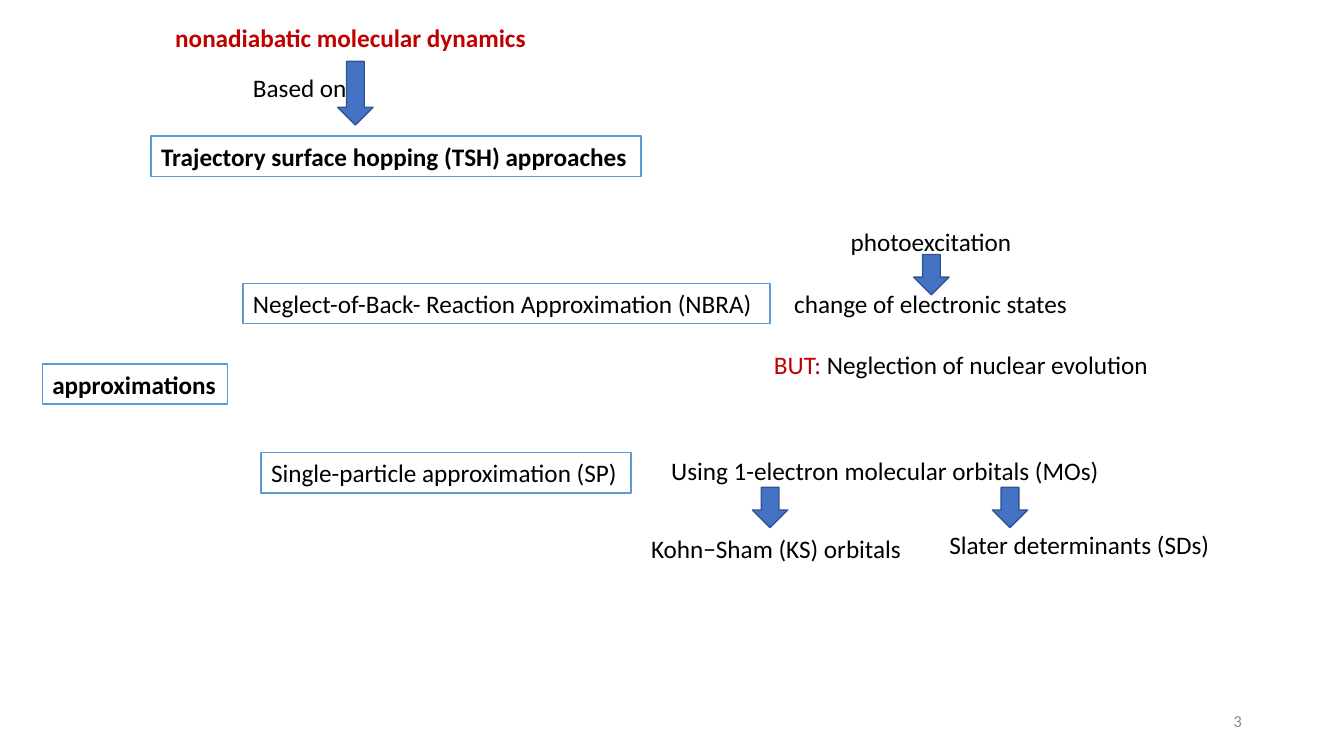
from pptx import Presentation
from pptx.dml.color import RGBColor
from pptx.enum.shapes import MSO_SHAPE
from pptx.enum.text import MSO_ANCHOR, MSO_AUTO_SIZE, PP_ALIGN
from pptx.util import Inches, Pt

WIDE, HIGH = Inches(13.333), Inches(7.5)
BLACK = RGBColor(0x00, 0x00, 0x00)
WHITE = RGBColor(0xFF, 0xFF, 0xFF)
RED = RGBColor(0xC0, 0x00, 0x00)
GREY = RGBColor(0x8C, 0x8C, 0x8C)
SKY = RGBColor(0x5B, 0x9B, 0xD5)
BLUE = RGBColor(0x44, 0x72, 0xC4)
NAVY = RGBColor(0x32, 0x54, 0x91)

ROW = 5.33    # height of one line of text, in % of the slide's height
THICK = 4.67  # breadth of an arrow, in % of the slide's height

GROW = {"word_wrap": False, "auto_size": MSO_AUTO_SIZE.SHAPE_TO_FIT_TEXT,
        "vertical_anchor": MSO_ANCHOR.TOP}
WRAP = {**GROW, "word_wrap": True}
FIXED = {"word_wrap": True, "auto_size": MSO_AUTO_SIZE.NONE,
         "vertical_anchor": MSO_ANCHOR.MIDDLE}
PLAIN = {"name": "Calibri", "size": Pt(18), "bold": False}
BOLD = {**PLAIN, "bold": True}
SMALL = {**PLAIN, "size": Pt(12)}

# Left, top and width are in % of the slide's width, height and width.
BOXES = [
    (11.25, 18, 36.45, "Trajectory surface hopping (TSH) approaches", BOLD),
    (3.15, 48.13, 13.8, "approximations", BOLD),
    (18.08, 37.47, 39.23, "Neglect-of-Back- Reaction Approximation (NBRA)", PLAIN),
    (19.43, 59.87, 27.53, "Single-particle approximation (SP)", PLAIN),
]
NOTES = [
    (62.55, 29.33, 13.58, "photoexcitation"),
    (58.35, 37.47, 22.05, "change of electronic states"),
    (49.2, 59.6, 33.45, "Using 1-electron molecular orbitals (MOs)"),
    (47.7, 69.87, 20.33, "Kohn−Sham (KS) orbitals"),
    (69.9, 69.33, 21.08, "Slater determinants (SDs)"),
]
# Centre x, centre y and length.
ARROWS = [(26.44, 12.33, 8.4), (69.3, 36.33, ROW),
          (57.3, 67.13, ROW), (75.15, 67.13, ROW)]


def across(share):
    return round(WIDE * share / 100)


def down(share):
    return round(HIGH * share / 100)


def apply(item, form):
    for key, value in form.items():
        setattr(item, key, value)


def paint(shape, fill, line):
    shape.shadow.inherit = False
    shape.fill.solid()
    shape.fill.fore_color.rgb = fill
    shape.line.color.rgb = line
    shape.line.width = Pt(1)


def write(shape, runs, font=PLAIN, frame=GROW, align=PP_ALIGN.LEFT):
    """Fill a shape with one paragraph of (text, colour) runs."""
    apply(shape.text_frame, frame)
    para = shape.text_frame.paragraphs[0]
    para.alignment = align
    for text, color in runs:
        run = para.add_run()
        run.text = text
        apply(run.font, font)
        run.font.color.rgb = color


def add_box(slide, left, top, width, text, font):
    box = slide.shapes.add_shape(MSO_SHAPE.RECTANGLE, across(left), down(top),
                                 across(width), down(ROW))
    paint(box, WHITE, SKY)
    write(box, [(text, BLACK)], font)


def add_note(slide, left, top, width, runs, **form):
    note = slide.shapes.add_textbox(across(left), down(top),
                                    across(width), down(ROW))
    write(note, runs, **form)


def add_arrow(slide, x, y, length):
    """Add a block arrow, turned to point down, around its centre."""
    long, thick = down(length), down(THICK)
    arrow = slide.shapes.add_shape(
        MSO_SHAPE.RIGHT_ARROW, across(x) - long // 2, down(y) - thick // 2,
        long, thick)
    arrow.rotation = 90
    paint(arrow, BLUE, NAVY)


def main():
    deck = Presentation()
    deck.slide_width, deck.slide_height = WIDE, HIGH
    slide = deck.slides.add_slide(deck.slide_layouts[6])

    for box in BOXES:
        add_box(slide, *box)
    for left, top, width, text in NOTES:
        add_note(slide, left, top, width, [(text, BLACK)])
    add_note(slide, 56.85, 45.6, 30.15,
             [("BUT: ", RED), ("Neglection of nuclear evolution", BLACK)])
    add_note(slide, 12.3, 2.27, 28.28,
             [("nonadiabatic molecular dynamics ", RED)], font=BOLD)
    for arrow in ARROWS:
        add_arrow(slide, *arrow)
    add_note(slide, 18.08, 8.93, 11.4, [("Based on", BLACK)], frame=WRAP)
    add_note(slide, 70.65, 92.67, 22.5, [("3", GREY)], font=SMALL,
             frame=FIXED, align=PP_ALIGN.RIGHT)

    deck.save("out.pptx")


if __name__ == "__main__":
    main()
